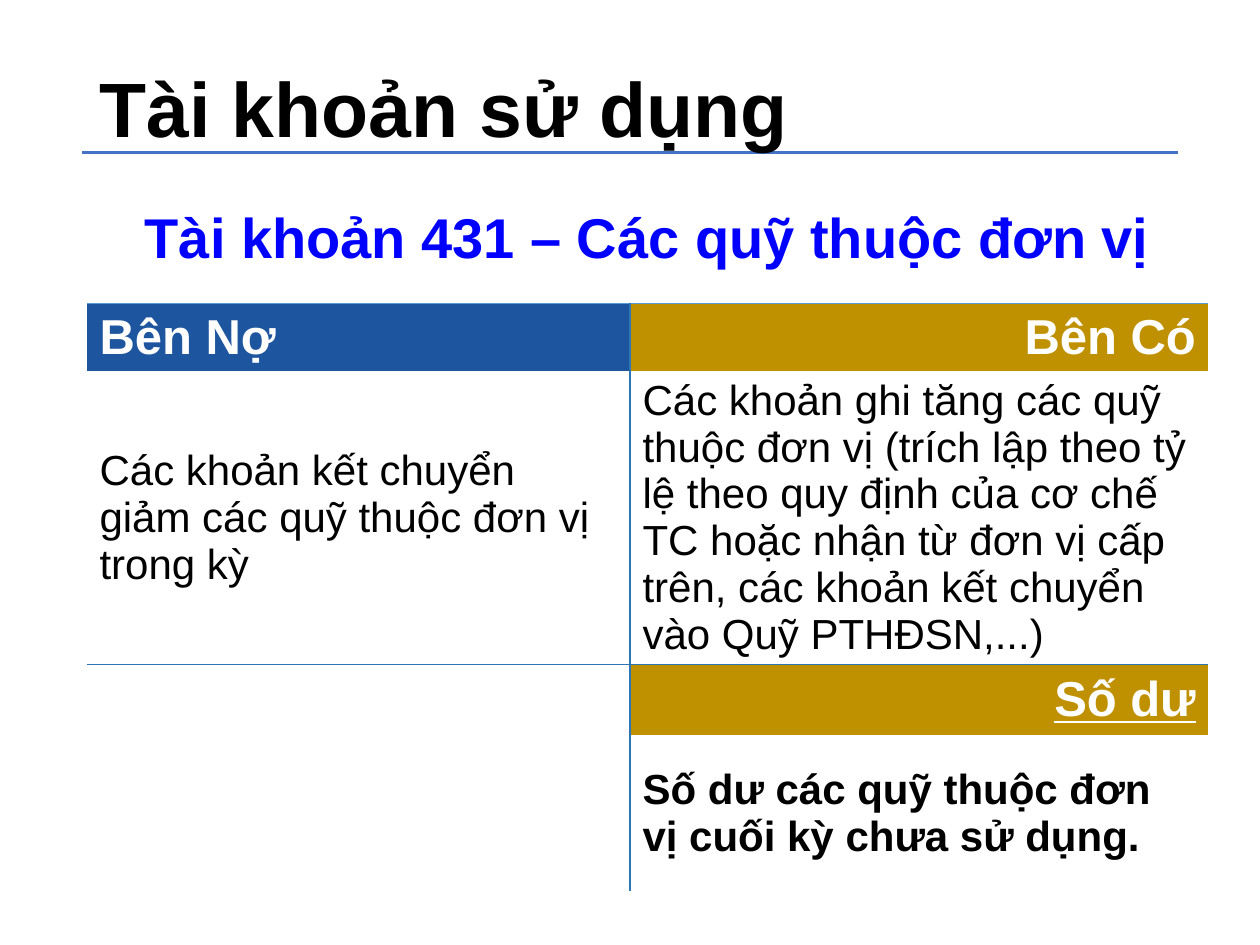
from lxml.etree import SubElement
from pptx import Presentation
from pptx.dml.color import RGBColor
from pptx.enum.shapes import MSO_CONNECTOR
from pptx.enum.text import MSO_ANCHOR, MSO_AUTO_SIZE, PP_ALIGN
from pptx.oxml import parse_xml
from pptx.oxml.ns import nsdecls, qn
from pptx.util import Inches, Pt

FONT = "Arial"
BLACK = RGBColor(0x00, 0x00, 0x00)
WHITE = RGBColor(0xFF, 0xFF, 0xFF)
BLUE = RGBColor(0x00, 0x00, 0xFF)
NAVY = RGBColor(0x1D, 0x55, 0x9F)
GOLD = RGBColor(0xBF, 0x90, 0x00)
RULE = RGBColor(0x44, 0x72, 0xC4)
STEEL = RGBColor(0x2E, 0x75, 0xB6)
SKY = RGBColor(0x5B, 0x9B, 0xD5)

COLS = [4.31, 4.59]
ROWS = [1.03, 0.52, 2.02, 0.56, 1.24]


def style(frame, size, color, bold=False, align=PP_ALIGN.LEFT):
    para = frame.paragraphs[0]
    para.alignment = align
    for run in para.runs:
        font = run.font
        font.name, font.size, font.bold = FONT, Pt(size), bold
        font.color.rgb = color


def add_title(slide, text):
    title = slide.shapes.title
    title.left, title.top = Inches(0.69), Inches(0.4)
    title.width, title.height = Inches(8.62), Inches(0.98)
    frame = title.text_frame
    frame.text = text
    frame.auto_size = MSO_AUTO_SIZE.NONE
    frame.vertical_anchor = MSO_ANCHOR.MIDDLE
    frame.paragraphs[0].line_spacing = 0.9
    style(frame, 44, BLACK, True)


def add_rule(slide):
    """Draw the line under the title, behind its text."""
    line = slide.shapes.add_connector(
        MSO_CONNECTOR.STRAIGHT, Inches(0.65), Inches(1.21), Inches(9.35), Inches(1.21))
    line.line.color.rgb = RULE
    line.line.width = Pt(1.5)
    SubElement(line._element.spPr, qn("a:effectLst"))
    slide.shapes._spTree.insert(2, line._element)


def set_edges(cell, edges):
    """Draw 1 pt edges in the given colours (keys L, R, T, B); hide the others."""
    props = cell._tc.get_or_add_tcPr()
    for spot, side in enumerate("LRTB"):
        color = edges.get(side)
        paint = (f'<a:solidFill><a:srgbClr val="{color}"/></a:solidFill>'
                 if color else "<a:noFill/>")
        props.insert(spot, parse_xml(
            f'<a:ln{side} w="{Pt(1)}" {nsdecls("a")}>{paint}</a:ln{side}>'))


def fill_cell(cell, text, size, color, bold=False, align=PP_ALIGN.LEFT, fill=None):
    cell.text_frame.text = text
    cell.vertical_anchor = MSO_ANCHOR.MIDDLE
    style(cell.text_frame, size, color, bold, align)
    if fill is not None:
        cell.fill.solid()
        cell.fill.fore_color.rgb = fill


def add_grid(slide):
    table = slide.shapes.add_table(
        len(ROWS), len(COLS), Inches(0.69), Inches(1.38),
        Inches(sum(COLS)), Inches(sum(ROWS))).table
    table.first_row = table.horz_banding = False
    for col, width in zip(table.columns, COLS):
        col.width = Inches(width)
    for row, height in zip(table.rows, ROWS):
        row.height = Inches(height)

    for r in range(len(ROWS)):
        for c in range(len(COLS)):
            cell = table.cell(r, c)
            cell.fill.background()
            edges = {}
            if r > 0:
                edges["R" if c == 0 else "L"] = STEEL
            if r in (0, 1):
                edges["B" if r == 0 else "T"] = SKY
            if r in (2, 3):
                edges["B" if r == 2 else "T"] = STEEL
            set_edges(cell, edges)

    table.cell(0, 0).merge(table.cell(0, 1))
    fill_cell(table.cell(0, 0), "Tài khoản 431 – Các quỹ thuộc đơn vị",
              32, BLUE, True, PP_ALIGN.CENTER)
    fill_cell(table.cell(1, 0), "Bên Nợ", 28, WHITE, True, fill=NAVY)
    fill_cell(table.cell(1, 1), "Bên Có", 28, WHITE, True, PP_ALIGN.RIGHT, GOLD)
    fill_cell(table.cell(2, 0),
              "Các khoản kết chuyển giảm các quỹ thuộc đơn vị trong kỳ", 24, BLACK)
    fill_cell(table.cell(2, 1),
              "Các khoản ghi tăng các quỹ thuộc đơn vị (trích lập theo tỷ lệ theo "
              "quy định của cơ chế TC hoặc nhận từ đơn vị cấp trên, các khoản kết "
              "chuyển vào Quỹ PTHĐSN,...)", 24, BLACK)
    total = table.cell(3, 1)
    fill_cell(total, "Số dư", 28, WHITE, True, PP_ALIGN.RIGHT, GOLD)
    total.text_frame.paragraphs[0].runs[0].font.underline = True
    fill_cell(table.cell(4, 1),
              "Số dư các quỹ thuộc đơn vị cuối kỳ chưa sử dụng.", 24, BLACK, True)


def main():
    deck = Presentation()
    deck.slide_width, deck.slide_height = Inches(10), Inches(7.5)
    slide = deck.slides.add_slide(deck.slide_layouts[5])
    add_rule(slide)
    add_title(slide, "Tài khoản sử dụng")
    add_grid(slide)
    deck.save("out.pptx")


if __name__ == "__main__":
    main()
